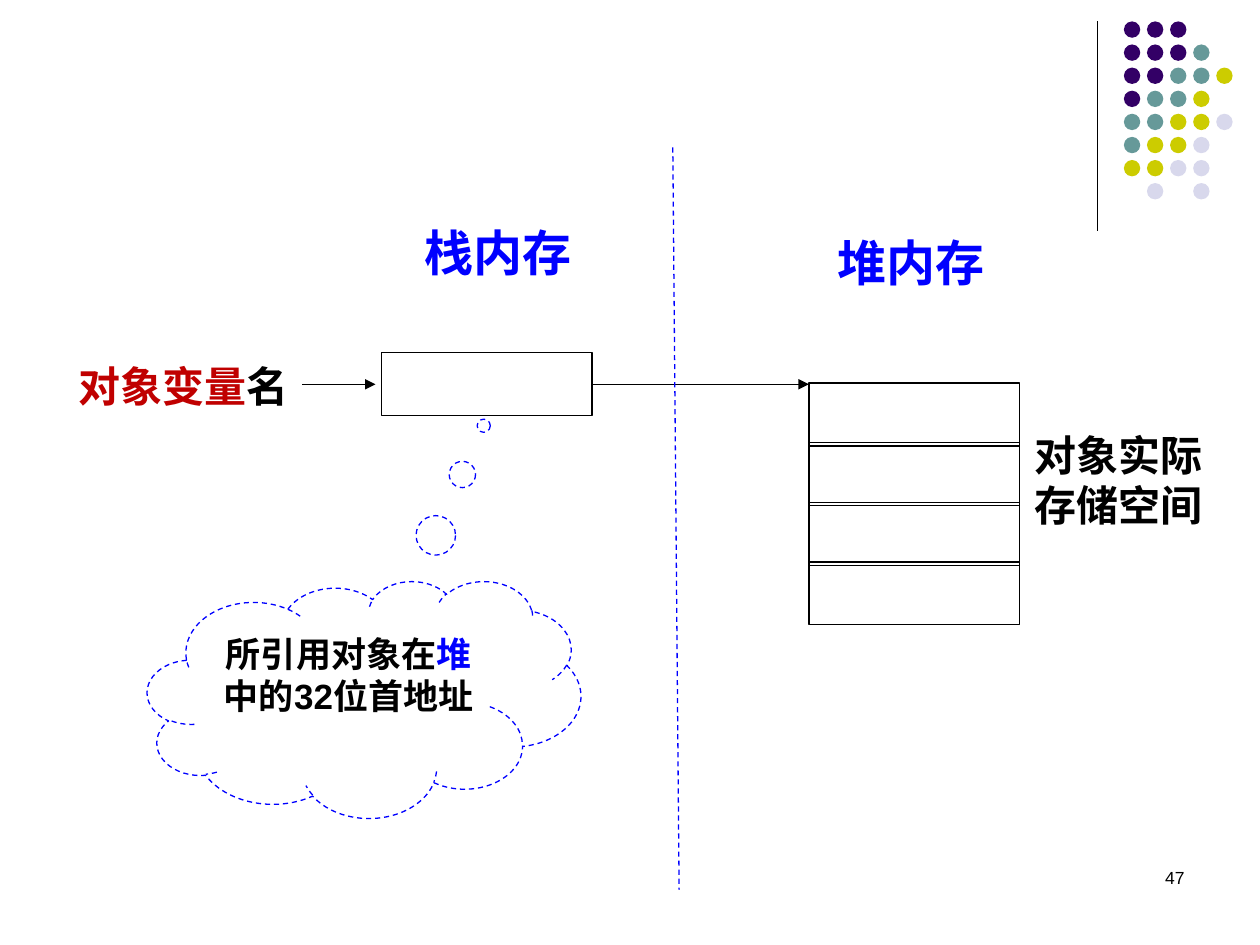
from lxml import etree
from pptx import Presentation
from pptx.dml.color import RGBColor
from pptx.enum.dml import MSO_LINE_DASH_STYLE as Dash
from pptx.enum.shapes import MSO_CONNECTOR as Connector, MSO_SHAPE as Shape
from pptx.enum.text import MSO_ANCHOR as Anchor, PP_ALIGN as Align
from pptx.oxml.ns import qn
from pptx.util import Inches, Pt

BLACK, BLUE, RED = "000000", "0000FF", "C00000"
DOT_COLORS = {"P": "330066", "T": "669999", "Y": "CCCC00", "L": "D8D8EC"}
DOT_ROWS = ["PPP", "PPPT", "PPTTY", "PTTY", "TTYYL", "TYYL", "YYLL", " L L"]
DOT_PITCH = 0.55 / 3
CELL_PITCH = 1.42 / 3
ARROW_Y = 3.05


def rgb(color):
    return RGBColor.from_string(color)


def style_line(line, color, dashed=False):
    line.color.rgb = rgb(color)
    line.width = Pt(0.75)
    if dashed:
        line.dash_style = Dash.DASH


def write_text(frame, runs, size=24, font="Arial", bold=True, align=Align.CENTER):
    """Fill a text frame with one paragraph of (text, color) runs."""
    frame.word_wrap = True
    paragraph = frame.paragraphs[0]
    paragraph.alignment = align
    for text, color in runs:
        run = paragraph.add_run()
        run.text = text
        run.font.size = Pt(size)
        run.font.name = font
        run.font.bold = bold
        run.font.color.rgb = rgb(color)


def add_text(slide, left, top, width, height, runs, **text_format):
    box = slide.shapes.add_textbox(
        Inches(left), Inches(top), Inches(width), Inches(height))
    write_text(box.text_frame, runs, **text_format)


def add_shape(shapes, kind, left, top, width, height, fill=None, line=None, dashed=False):
    shape = shapes.add_shape(
        kind, Inches(left), Inches(top), Inches(width), Inches(height))
    shape.shadow.inherit = False
    if fill:
        shape.fill.solid()
        shape.fill.fore_color.rgb = rgb(fill)
    else:
        shape.fill.background()
    if line:
        style_line(shape.line, line, dashed)
    else:
        shape.line.fill.background()
    return shape


def add_line(slide, start, end, color=BLACK, dashed=False, arrow=False):
    connector = slide.shapes.add_connector(
        Connector.STRAIGHT, *(Inches(value) for value in (*start, *end)))
    style_line(connector.line, color, dashed)
    if arrow:
        line = connector.line._get_or_add_ln()
        etree.SubElement(line, qn("a:tailEnd"), type="triangle")
    etree.SubElement(connector._element.spPr, qn("a:effectLst"))
    return connector


def add_dot_pattern(slide):
    group = slide.shapes.add_group_shape()
    for row, letters in enumerate(DOT_ROWS):
        for column, letter in enumerate(letters):
            if letter in DOT_COLORS:
                add_shape(group.shapes, Shape.OVAL, 8.92 + column * DOT_PITCH,
                          0.17 + row * DOT_PITCH, 0.13, 0.13, fill=DOT_COLORS[letter])


def add_heap_cells(slide):
    group = slide.shapes.add_group_shape()
    for index in range(4):
        add_shape(group.shapes, Shape.RECTANGLE, 6.42, 3.04 + index * CELL_PITCH,
                  1.67, 0.5, line=BLACK)


def add_address_cloud(slide):
    cloud = add_shape(slide.shapes, Shape.CLOUD_CALLOUT, 1.17, 4.61, 3.44, 1.88,
                      line=BLUE, dashed=True)
    cloud.adjustments[0] = 0.276
    cloud.adjustments[1] = -1.155
    frame = cloud.text_frame
    frame.vertical_anchor = Anchor.MIDDLE
    frame.margin_bottom = Inches(0.35)
    write_text(frame, [("所引用对象在", BLACK), ("堆", BLUE), ("中的32位首地址", BLACK)],
               size=20)


def main():
    presentation = Presentation()
    presentation.slide_width = Inches(10)
    presentation.slide_height = Inches(7.5)
    slide = presentation.slides.add_slide(presentation.slide_layouts[6])

    add_line(slide, (8.71, 0.17), (8.71, 1.83))
    add_dot_pattern(slide)
    add_text(slide, 7.17, 6.83, 2.33, 0.5, [("47", BLACK)],
             size=10, bold=False, align=Align.RIGHT)

    stack_cell = add_shape(slide.shapes, Shape.RECTANGLE, 3.03, 2.8, 1.67, 0.5, line=BLACK)
    add_line(slide, (2.4, ARROW_Y), (2.98, ARROW_Y), arrow=True)
    reference = add_line(slide, (4.7, ARROW_Y), (6.42, ARROW_Y), arrow=True)
    reference.begin_connect(stack_cell, 3)
    add_text(slide, 0.51, 2.81, 1.89, 0.5, [("对象变量", RED), ("名", BLACK)],
             font="Times New Roman")

    add_heap_cells(slide)
    add_text(slide, 7.99, 3.36, 1.78, 0.91, [("对象实际存储空间", BLACK)],
             font="Times New Roman")
    add_address_cloud(slide)

    add_line(slide, (5.34, 1.17), (5.39, 7.06), color=BLUE, dashed=True)
    add_text(slide, 3.2, 1.72, 1.5, 0.57, [("栈内存", BLUE)], size=28)
    add_text(slide, 6.48, 1.8, 1.5, 0.57, [("堆内存", BLUE)], size=28)

    presentation.save("out.pptx")


if __name__ == "__main__":
    main()
